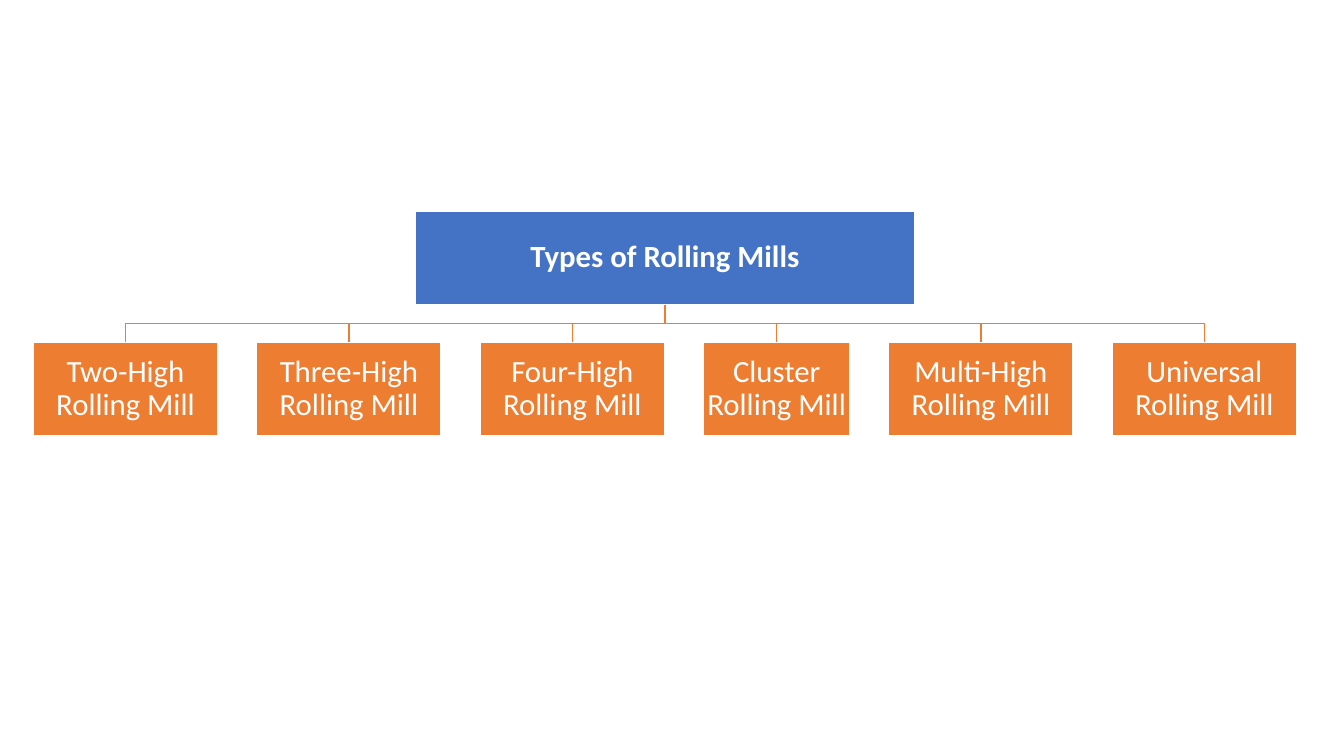
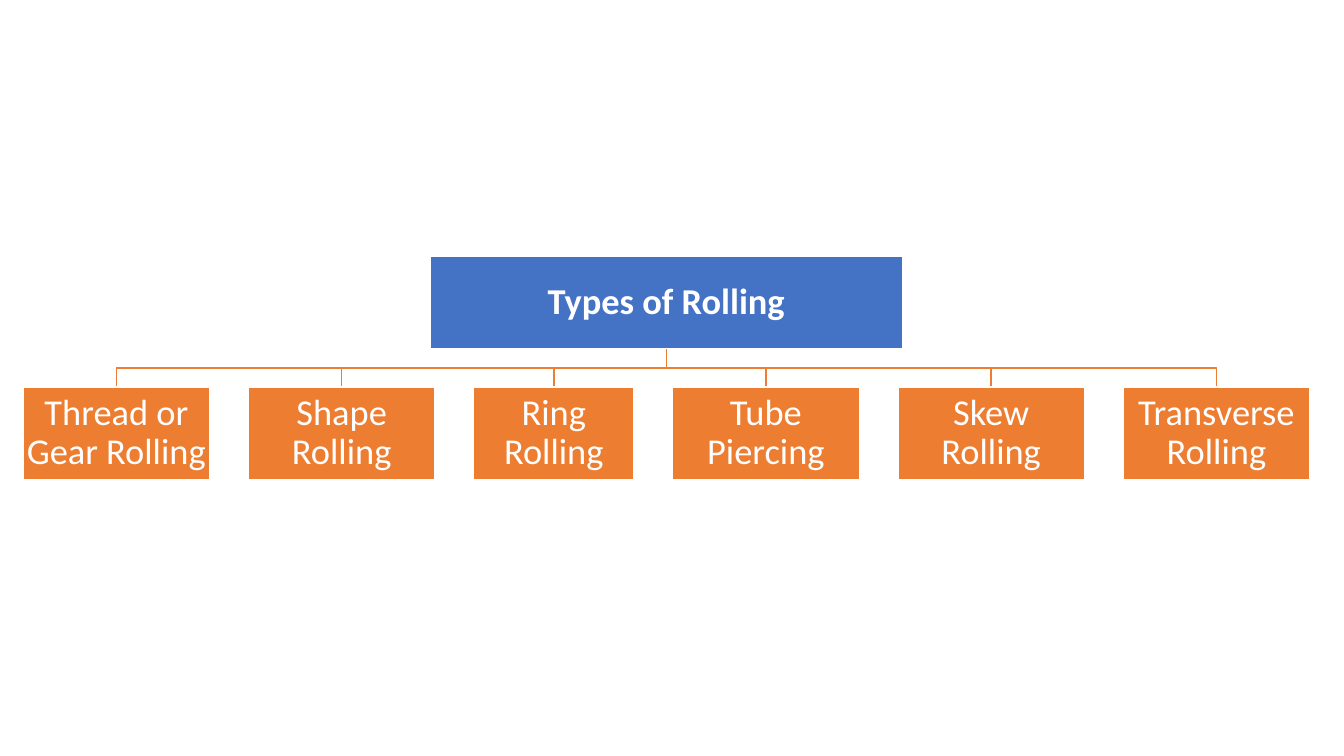
"""Build two one-level tree charts on rolling mills and rolling types."""
import pptx
import pptx.util
import pptx.dml.color
import pptx.enum.shapes
import pptx.enum.text

Inches = pptx.util.Inches
Pt = pptx.util.Pt
RGB = pptx.dml.color.RGBColor.from_string

COLORS = {"root": "4472C4", "leaf": "ED7D31", "white": "FFFFFF"}
HEIGHT, DROP, INSET = 0.92, 0.38, 0.02

TREES = [
    {
        "title": "Types of Rolling Mills", "size": 22,
        "top": 2.1, "width": 4.96, "span": (0.33, 12.86),
        "leaves": [
            ("Two-High Rolling Mill", 1.83),
            ("Three-High Rolling Mill", 1.83),
            ("Four-High Rolling Mill", 1.83),
            ("Cluster Rolling Mill", 1.45),
            ("Multi-High Rolling Mill", 1.83),
            ("Universal Rolling Mill", 1.83),
        ],
    },
    {
        "title": "Types of Rolling", "size": 26,
        "top": 2.54, "width": 4.69, "span": (0.23, 12.99),
        "leaves": [
            ("Thread or Gear Rolling", 1.85),
            ("Shape Rolling", 1.85),
            ("Ring Rolling", 1.59),
            ("Tube Piercing", 1.85),
            ("Skew Rolling", 1.85),
            ("Transverse Rolling", 1.85),
        ],
    },
]

FRAME = {
    "word_wrap": True,
    "auto_size": pptx.enum.text.MSO_AUTO_SIZE.NONE,
    "vertical_anchor": pptx.enum.text.MSO_ANCHOR.MIDDLE,
    **{f"margin_{side}": Inches(INSET)
       for side in ("left", "top", "right", "bottom")},
}
PARA = {"alignment": pptx.enum.text.PP_ALIGN.CENTER, "line_spacing": 0.9}


def apply(target, values):
    """Set each named attribute on the target."""
    for name, value in values.items():
        setattr(target, name, value)


def outline(shape, color):
    """Give a shape a thin line and no shadow."""
    shape.shadow.inherit = False
    shape.line.color.rgb = RGB(COLORS[color])
    shape.line.width = Pt(1)


def style(shape, text, color, size, bold):
    """Fill a box and set its text."""
    outline(shape, "white")
    shape.fill.solid()
    shape.fill.fore_color.rgb = RGB(COLORS[color])
    frame = shape.text_frame
    frame.text = text
    apply(frame, FRAME)
    para = frame.paragraphs[0]
    apply(para, PARA)
    apply(para.font, {"name": "Calibri", "size": Pt(size), "bold": bold})
    para.font.color.rgb = RGB(COLORS["white"])


def link(shapes, start, end):
    """Draw an elbow from the root down to a leaf."""
    (left, top), (right, base) = start, end
    middle = (top + base) / 2
    points = [(left, middle), (right, middle), (right, base)]
    pen = shapes.build_freeform(Inches(left), Inches(top))
    pen.add_line_segments(
        [(Inches(x), Inches(y)) for x, y in points], close=False)
    elbow = pen.convert_to_shape()
    elbow.fill.background()
    outline(elbow, "leaf")


def draw(slide, tree):
    """Lay out one tree with equal gaps between its leaves."""
    shapes, leaves = slide.shapes, tree["leaves"]
    left, right = tree["span"]
    center = (left + right) / 2
    base = tree["top"] + HEIGHT
    row = base + DROP
    gap = (right - left - sum(w for _, w in leaves)) / (len(leaves) - 1)
    spots = []
    for text, width in leaves:
        spots.append((text, left, width))
        left += width + gap

    for _, x, width in spots:
        link(shapes, (center, base), (x + width / 2, row))

    title = shapes.title
    apply(title, {
        "left": Inches(center - tree["width"] / 2),
        "top": Inches(tree["top"]),
        "width": Inches(tree["width"]),
        "height": Inches(HEIGHT),
    })
    style(title, tree["title"], "root", tree["size"], True)
    shapes.element.append(title.element)

    for text, x, width in spots:
        box = shapes.add_shape(
            pptx.enum.shapes.MSO_SHAPE.RECTANGLE,
            Inches(x), Inches(row), Inches(width), Inches(HEIGHT))
        style(box, text, "leaf", tree["size"], False)


def main():
    """Make and save the deck."""
    deck = pptx.Presentation()
    apply(deck, {"slide_width": Inches(13.33), "slide_height": Inches(7.5)})
    for tree in TREES:
        draw(deck.slides.add_slide(deck.slide_layouts[5]), tree)
    deck.save("out.pptx")


if __name__ == "__main__":
    main()
